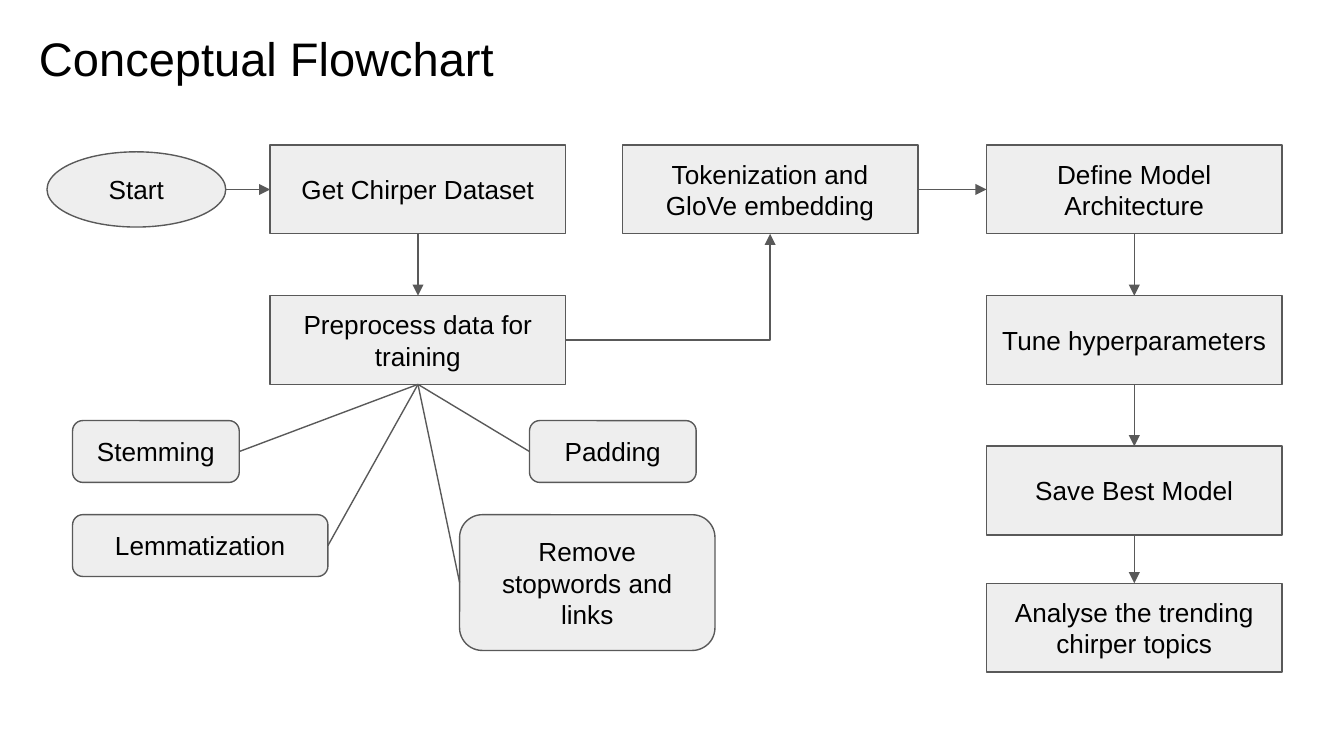
import pptx
import pptx.util
import pptx.dml.color
import pptx.enum.shapes
import pptx.enum.text
import pptx.oxml.ns
import lxml.etree

Inches = pptx.util.Inches
Shapes = pptx.enum.shapes.MSO_SHAPE
Align = pptx.enum.text.PP_ALIGN
Anchor = pptx.enum.text.MSO_ANCHOR

THEME = {
    "font": "Arial",
    "ink": "000000",
    "box": "EEEEEE",
    "outline": "595959",
    "title_size": 25.2,
    "body_size": 14,
    "line_width": 0.75,
}

SLIDE_WIDTH = 10
SLIDE_HEIGHT = SLIDE_WIDTH * 9 / 16
TITLE = "Conceptual Flowchart"
COLUMNS = [2.01, 4.63, 7.34]
ROWS = [1.08, 2.2, 3.32, 4.34]
STEP_SIZE = (2.2, 0.66)
STEPS = {
    "dataset": ("Get Chirper Dataset", 0, 0),
    "preprocess": ("Preprocess data for training", 0, 1),
    "embedding": ("Tokenization and GloVe embedding", 1, 0),
    "architecture": ("Define Model Architecture", 2, 0),
    "tuning": ("Tune hyperparameters", 2, 1),
    "saving": ("Save Best Model", 2, 2),
    "analysis": ("Analyse the trending chirper topics", 2, 3),
}
START = ("Start", (0.35, 1.13, 1.33, 0.56))
TASKS = {
    "stemming": ("Stemming", (0.54, 3.13, 1.24, 0.46)),
    "lemmatization": ("Lemmatization", (0.54, 3.83, 1.9, 0.46)),
    "stopwords": ("Remove stopwords and links", (3.42, 3.83, 1.9, 1.01)),
    "padding": ("Padding", (3.94, 3.13, 1.24, 0.46)),
}
SITES = {"top": 0, "left": 1, "bottom": 2, "right": 3}
ELLIPSE_RIGHT = 6
ARROWS = [
    ("start", "right", "dataset", "left"),
    ("dataset", "bottom", "preprocess", "top"),
    ("preprocess", "right", "embedding", "bottom"),
    ("embedding", "right", "architecture", "left"),
    ("architecture", "bottom", "tuning", "top"),
    ("tuning", "bottom", "saving", "top"),
    ("saving", "bottom", "analysis", "top"),
]
BRANCHES = [
    ("preprocess", "bottom", "stemming", "right"),
    ("preprocess", "bottom", "lemmatization", "right"),
    ("preprocess", "bottom", "stopwords", "left"),
    ("preprocess", "bottom", "padding", "left"),
]


def color(name):
    return pptx.dml.color.RGBColor.from_string(THEME[name])


def write(shape, text, size="body_size", align=Align.CENTER, anchor=Anchor.MIDDLE):
    frame = shape.text_frame
    frame.word_wrap = True
    frame.auto_size = pptx.enum.text.MSO_AUTO_SIZE.NONE
    frame.vertical_anchor = anchor
    frame.margin_left = frame.margin_right = Inches(0.1)
    frame.margin_top = frame.margin_bottom = Inches(0.1)
    paragraph = frame.paragraphs[0]
    paragraph.alignment = align
    run = paragraph.add_run()
    run.text = text
    run.font.name = THEME["font"]
    run.font.size = pptx.util.Pt(THEME[size])
    run.font.color.rgb = color("ink")


def outline(line):
    line.color.rgb = color("outline")
    line.width = pptx.util.Pt(THEME["line_width"])


def add_node(slide, kind, text, place):
    node = slide.shapes.add_shape(kind, *map(Inches, place))
    node.shadow.inherit = False
    node.fill.solid()
    node.fill.fore_color.rgb = color("box")
    outline(node.line)
    write(node, text)
    return node


def add_link(slide, nodes, source, source_side, target, target_side, arrow):
    bent = arrow and (source_side, target_side) == ("right", "bottom")
    kinds = pptx.enum.shapes.MSO_CONNECTOR
    link = slide.shapes.add_connector(kinds.ELBOW if bent else kinds.STRAIGHT, 0, 0, 0, 0)
    link.begin_connect(nodes[source], SITES[source_side])
    link.end_connect(nodes[target], SITES[target_side])
    outline(link.line)
    qn = pptx.oxml.ns.qn
    properties = link._element.spPr
    if bent:
        properties.find(qn("a:prstGeom")).set("prst", "bentConnector2")
    if nodes[source].auto_shape_type == Shapes.OVAL:
        link._element.find(".//" + qn("a:stCxn")).set("idx", str(ELLIPSE_RIGHT))
    if arrow:
        line = properties.find(qn("a:ln"))
        lxml.etree.SubElement(line, qn("a:tailEnd"), type="triangle")
    lxml.etree.SubElement(properties, qn("a:effectLst"))


def main():
    deck = pptx.Presentation()
    deck.slide_width, deck.slide_height = Inches(SLIDE_WIDTH), Inches(SLIDE_HEIGHT)
    slide = deck.slides.add_slide(deck.slide_layouts[5])

    title = slide.shapes.title
    title.left, title.top, title.width, title.height = map(Inches, (0.19, 0.12, 4.96, 0.63))
    write(title, TITLE, size="title_size", align=Align.LEFT, anchor=Anchor.TOP)

    nodes = {"start": add_node(slide, Shapes.OVAL, *START)}
    for name, (text, column, row) in STEPS.items():
        place = (COLUMNS[column], ROWS[row], *STEP_SIZE)
        nodes[name] = add_node(slide, Shapes.FLOWCHART_PROCESS, text, place)
    for name, (text, place) in TASKS.items():
        nodes[name] = add_node(slide, Shapes.ROUNDED_RECTANGLE, text, place)

    for links, arrow in ((ARROWS, True), (BRANCHES, False)):
        for ends in links:
            add_link(slide, nodes, *ends, arrow=arrow)

    deck.save("out.pptx")


if __name__ == "__main__":
    main()
